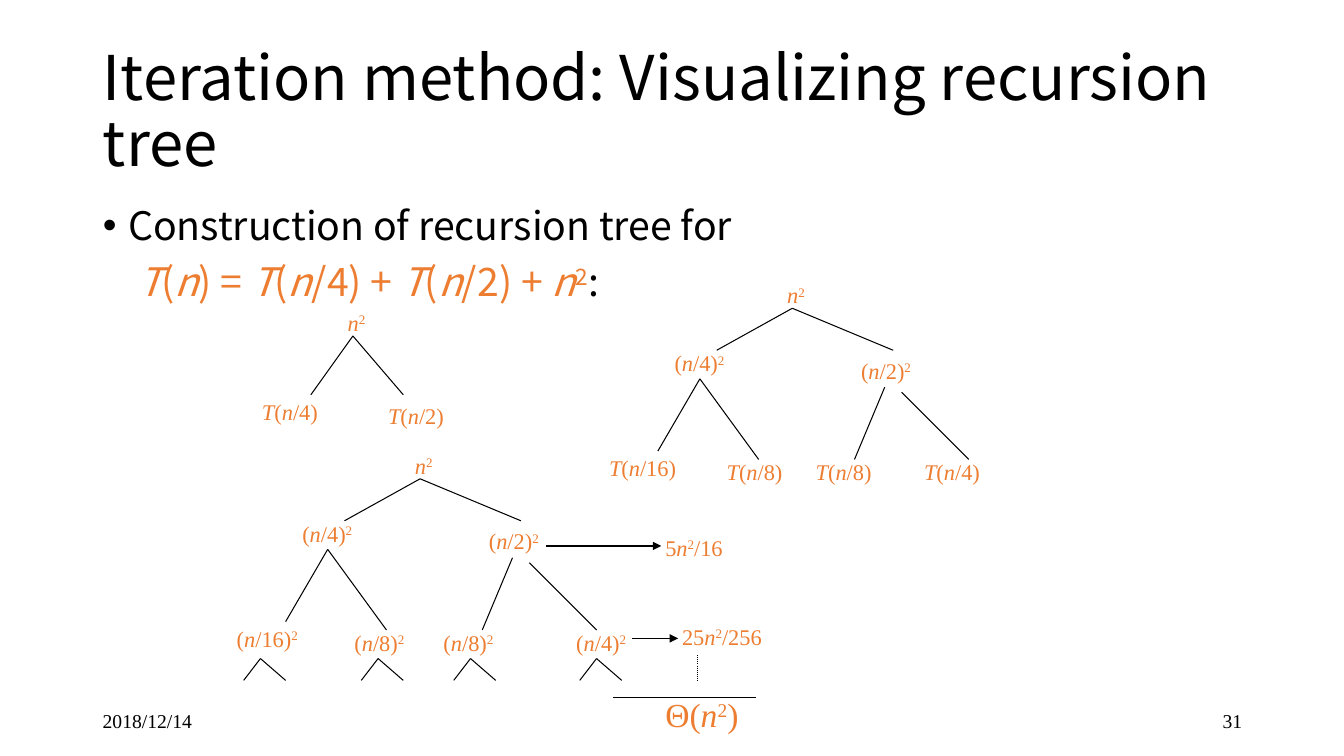
"""Build a slide that shows a recursion tree growing level by level."""
from itertools import groupby
from lxml.etree import SubElement
from pptx import Presentation
from pptx.dml.color import RGBColor
from pptx.enum.dml import MSO_LINE
from pptx.enum.shapes import MSO_CONNECTOR
from pptx.enum.text import MSO_ANCHOR, MSO_AUTO_SIZE, PP_ALIGN
from pptx.oxml.ns import qn
from pptx.util import Inches, Pt

COLORS = {"ink": "000000", "formula": "ED7D31"}
SANS, SERIF = "Noto Sans CJK SC", "Times New Roman"
UNIT = 1 / 12
CHAR_EM = {"T": 0.56, "(": 0.33, ")": 0.33, "/": 0.28, "²": 0.33, "Θ": 0.72}

TITLE = "Iteration method: Visualizing recursion tree"
INTRO = "Construction of recursion tree for"
RECURRENCE = "T(n) = T(n/4) + T(n/2) + n²"
FOOTERS = [("2018/12/14", 0.92, PP_ALIGN.LEFT), ("31", 9.42, PP_ALIGN.RIGHT)]

SMALL_EDGES = [(0, 0, -5, 7), (0, 0, 6, 7)]
TOP_EDGES = [(0, 0, -9, 5), (0, 0, 12, 5)]
LOWER_EDGES = [(-11, 8.4, -16, 17), (-11, 8.4, -4, 18),
               (11, 9.4, 7.4, 18), (13, 10, 21, 18)]
LEAF_EDGES = [(x, 21.4, x + dx, 24) for x in (-19, -5, 6, 21) for dx in (-2, 3)]
ROOT_LABEL = ("n²", -1.8, -3.8)
TOP_LABELS = [ROOT_LABEL, ("(n/4)²", -15.2, 4.3), ("(n/2)²", 7, 5.2)]

TREES = [
    {"apex": (94.3, 36.7), "edges": TOP_EDGES + LOWER_EDGES,
     "labels": TOP_LABELS + [("T(n/16)", -23, 16.8), ("T(n/8)", -9, 17.3),
                             ("T(n/8)", 1.6, 17.3), ("T(n/4)", 14.5, 17.3)]},
    {"apex": (42, 40), "edges": SMALL_EDGES,
     "labels": [ROOT_LABEL, ("T(n/4)", -12, 6.8), ("T(n/2)", 3, 7.3)]},
    {"apex": (50, 57), "edges": TOP_EDGES + LOWER_EDGES + LEAF_EDGES,
     "labels": TOP_LABELS + [("(n/16)²", -23, 16.8), ("(n/8)²", -9, 17.3),
                             ("(n/8)²", 1.6, 17.3), ("(n/4)²", 17.4, 17.3)]},
]
SUMS = [("5n²/16", 78, 63, 16), ("25n²/256", 80, 73.6, 16), ("Θ(n²)", 78, 82, 24)]
SUM_ARROWS = [(65, 65, 78.7, 65), (75.2, 76, 80.7, 76)]
SUM_RULE = (73, 83, 90, 83)
SUM_DOTS = (83, 78, 83, 81)


def add_run(p, text, size, font, color="ink"):
    r = p.add_run()
    r.text = text
    r.font.size, r.font.name = Pt(size), font
    r.font.color.rgb = RGBColor.from_string(COLORS[color])
    return r


def add_formula(p, text, size, font):
    for (italic, raised), chars in groupby(text, lambda c: (c in "nT", c == "²")):
        r = add_run(p, "".join(chars).replace("²", "2"), size, font, "formula")
        r.font.italic = italic
        if raised:
            r.font._element.set("baseline", "30000")


def add_label(shapes, text, x, y, size=16):
    width = 0.2 + sum(CHAR_EM.get(c, 0.5) for c in text) * size / 72
    height = 0.1 + 1.2 * size / 72
    box = shapes.add_textbox(Inches(x * UNIT), Inches(y * UNIT), Inches(width), Inches(height))
    tf = box.text_frame
    tf.word_wrap = False
    tf.auto_size = MSO_AUTO_SIZE.SHAPE_TO_FIT_TEXT
    add_formula(tf.paragraphs[0], text, size, SERIF)


def add_line(shapes, x1, y1, x2, y2):
    ends = [Inches(v * UNIT) for v in (x1, y1, x2, y2)]
    line = shapes.add_connector(MSO_CONNECTOR.STRAIGHT, *ends)
    line.line.color.rgb = RGBColor.from_string(COLORS["ink"])
    line.line.width = Pt(0.75)
    SubElement(line._element.spPr, qn("a:effectLst"))
    return line


def place(shape, x, y, w, h):
    shape.left, shape.top, shape.width, shape.height = map(Inches, (x, y, w, h))


def set_indent(p, margin, indent, bullet=None):
    pPr = p._p.get_or_add_pPr()
    pPr.set("marL", str(Inches(margin)))
    pPr.set("indent", str(Inches(indent)))
    if bullet:
        SubElement(pPr, qn("a:buFont"), typeface="Arial")
        SubElement(pPr, qn("a:buChar"), char=bullet)
    else:
        SubElement(pPr, qn("a:buNone"))


def add_heading_and_body(s):
    title, body = s.placeholders
    place(title, 0.92, 0.4, 11.5, 1.45)
    place(body, 0.92, 2, 11.5, 4.76)
    for shape, anchor in ((title, MSO_ANCHOR.MIDDLE), (body, MSO_ANCHOR.TOP)):
        shape.text_frame.vertical_anchor = anchor
        shape.text_frame.auto_size = MSO_AUTO_SIZE.NONE
        shape.text_frame.word_wrap = True
    heading = title.text_frame.paragraphs[0]
    intro = body.text_frame.paragraphs[0]
    recurrence = body.text_frame.add_paragraph()
    for p, before in ((heading, 0), (intro, 10), (recurrence, 10)):
        p.alignment = PP_ALIGN.LEFT
        p.line_spacing = 0.9
        p.space_before = Pt(before)
    add_run(heading, TITLE, 44, SANS)
    set_indent(intro, 0.25, -0.25, "•")
    add_run(intro, INTRO, 28, SANS)
    set_indent(recurrence, 0.35, 0)
    add_formula(recurrence, RECURRENCE, 28, SANS)
    add_run(recurrence, ":", 28, SANS)


def add_tree(s, tree):
    shapes = s.shapes.add_group_shape().shapes
    ax, ay = tree["apex"]
    for text, x, y in tree["labels"]:
        add_label(shapes, text, ax + x, ay + y)
    for x1, y1, x2, y2 in tree["edges"]:
        add_line(shapes, ax + x1, ay + y1, ax + x2, ay + y2)


def add_sums(s):
    for arrow in SUM_ARROWS:
        line = add_line(s.shapes, *arrow)
        SubElement(line.line._get_or_add_ln(), qn("a:tailEnd"), type="triangle")
    add_line(s.shapes, *SUM_RULE)
    add_line(s.shapes, *SUM_DOTS).line.dash_style = MSO_LINE.ROUND_DOT
    for text, x, y, size in SUMS:
        add_label(s.shapes, text, x, y, size)


def add_footers(s):
    for text, x, align in FOOTERS:
        tf = s.shapes.add_textbox(Inches(x), Inches(6.95), Inches(3), Inches(0.4)).text_frame
        tf.word_wrap = True
        tf.vertical_anchor = MSO_ANCHOR.MIDDLE
        tf.paragraphs[0].alignment = align
        add_run(tf.paragraphs[0], text, 14, SERIF)


def main():
    prs = Presentation()
    prs.slide_width, prs.slide_height = Inches(13.33), Inches(7.5)
    s = prs.slides.add_slide(prs.slide_layouts[1])
    add_heading_and_body(s)
    add_footers(s)
    for tree in TREES:
        add_tree(s, tree)
    add_sums(s)
    prs.save("out.pptx")


if __name__ == "__main__":
    main()
